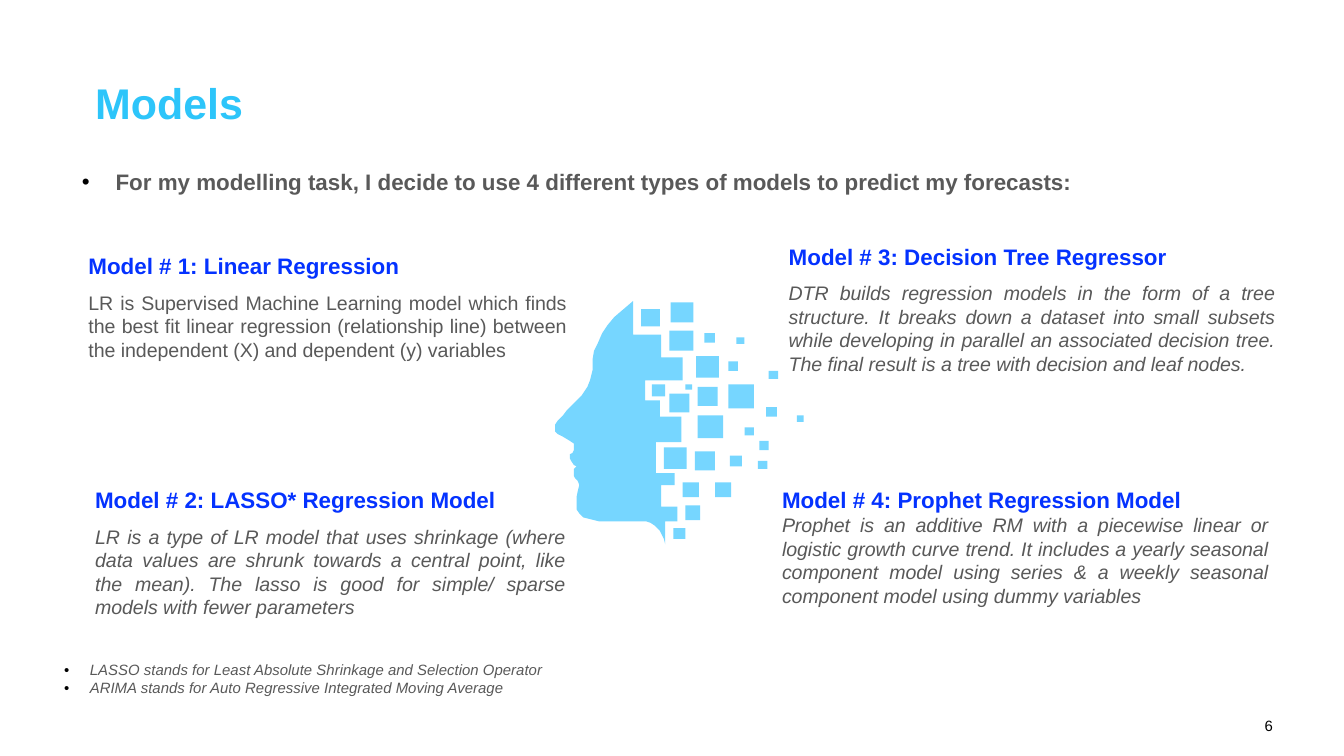
from dataclasses import dataclass

from lxml.etree import SubElement
from pptx import Presentation
from pptx.dml.color import RGBColor
from pptx.enum.shapes import MSO_SHAPE
from pptx.enum.text import MSO_ANCHOR, MSO_AUTO_SIZE, PP_ALIGN
from pptx.oxml.ns import qn
from pptx.util import Inches, Pt


@dataclass(frozen=True)
class Theme:
    """Font, colours and type sizes of the slide."""
    font: str = "Arial"
    title: str = "2DC5FA"
    heading: str = "0432FF"
    body: str = "595959"
    black: str = "000000"
    head: str = "76D6FF"
    title_size: float = 23
    heading_size: float = 12
    body_size: float = 10.5
    small_size: float = 8


THEME = Theme()

MODELS = [
    ((0.56, 1.83, 3.76, 0.92), "Model # 1: Linear Regression",
     "LR is Supervised Machine Learning model which finds the best fit linear regression "
     "(relationship line) between the independent (X) and dependent (y) variables", False, 6),
    ((0.61, 3.57, 3.7, 1.13), "Model # 2: LASSO* Regression Model",
     "LR is a type of LR model that uses shrinkage (where data values are shrunk towards a "
     "central point, like the mean). The lasso is good for simple/ sparse models with fewer "
     "parameters", True, 6),
    ((5.77, 1.76, 3.82, 1.09), "Model # 3: Decision Tree Regressor",
     "DTR builds regression models in the form of a tree structure. It breaks down a dataset "
     "into small subsets while developing in parallel an associated decision tree. The final "
     "result is a tree with decision and leaf nodes.", True, 6),
    ((5.72, 3.57, 3.82, 1.01), "Model # 4: Prophet Regression Model",
     "Prophet is an additive RM with a piecewise linear or logistic growth curve trend. It "
     "includes a yearly seasonal component model using series & a weekly seasonal component "
     "model using dummy variables", True, 0),
]

FOOTNOTES = [
    "LASSO stands for Least Absolute Shrinkage and Selection Operator",
    "ARIMA stands for Auto Regressive Integrated Moving Average",
]

HEAD_OUTLINE = [
    (4.71, 2.24), (4.71, 2.49), (4.92, 2.49), (4.92, 2.66), (5.08, 2.66), (5.08, 2.83),
    (4.8, 2.83), (4.8, 2.98), (4.91, 2.98), (4.91, 3.1), (5.07, 3.1), (5.07, 3.29),
    (4.88, 3.29), (4.88, 3.52), (5.02, 3.52), (5.02, 3.61), (4.92, 3.61), (4.92, 3.77),
    (5.04, 3.77), (5.04, 3.88), (4.95, 3.88), (4.95, 4.05), (4.94, 4.01), (4.91, 3.95),
    (4.87, 3.91), (4.84, 3.89), (4.81, 3.88), (4.46, 3.88), (4.38, 3.86), (4.34, 3.85),
    (4.31, 3.82), (4.29, 3.79), (4.29, 3.7), (4.3, 3.65), (4.31, 3.61), (4.3, 3.58),
    (4.28, 3.56), (4.27, 3.54), (4.27, 3.49), (4.29, 3.47), (4.27, 3.46), (4.25, 3.43),
    (4.24, 3.41), (4.24, 3.38), (4.26, 3.37), (4.27, 3.35), (4.27, 3.3), (4.24, 3.28),
    (4.19, 3.25), (4.15, 3.23), (4.13, 3.21), (4.13, 3.16), (4.15, 3.13), (4.19, 3.09),
    (4.22, 3.05), (4.27, 3), (4.33, 2.94), (4.37, 2.88), (4.39, 2.83), (4.41, 2.75),
    (4.41, 2.67), (4.42, 2.61), (4.45, 2.55), (4.48, 2.48), (4.52, 2.42), (4.57, 2.36),
    (4.64, 2.3),
]

HEAD_TILES = [
    (5.42, 2.86, 0.19, 0.18), (5.18, 2.65, 0.17, 0.16), (4.98, 2.46, 0.18, 0.15),
    (5.42, 2.69, 0.07, 0.07), (5.24, 2.48, 0.08, 0.07), (5.48, 2.51, 0.06, 0.05),
    (5.54, 3.18, 0.07, 0.06), (5.17, 3.36, 0.15, 0.14), (5.19, 2.88, 0.15, 0.14),
    (5.08, 3.59, 0.12, 0.11), (4.98, 2.93, 0.15, 0.14), (5.01, 3.93, 0.09, 0.08),
    (4.85, 2.86, 0.1, 0.09), (5.43, 3.39, 0.09, 0.08), (4.77, 2.3, 0.14, 0.13),
    (5.65, 3.28, 0.07, 0.07), (5.7, 3.03, 0.08, 0.07), (5.64, 3.43, 0.07, 0.06),
    (5.72, 2.76, 0.07, 0.06), (5.32, 3.59, 0.12, 0.11), (4.99, 2.25, 0.17, 0.15),
    (4.94, 3.33, 0.17, 0.16), (5.19, 3.09, 0.19, 0.17), (5.1, 3.76, 0.11, 0.11),
    (5.93, 3.09, 0.05, 0.05), (5.1, 2.86, 0.05, 0.04),
]


def add_text_box(slide, box, inset=None):
    """Add a wrapping text box and return its text frame."""
    frame = slide.shapes.add_textbox(*map(Inches, box)).text_frame
    frame.word_wrap = True
    if inset is None:
        frame.auto_size = MSO_AUTO_SIZE.SHAPE_TO_FIT_TEXT
    else:
        frame.margin_left = frame.margin_right = Inches(inset)
        frame.margin_top = frame.margin_bottom = Inches(inset)
    return frame


def add_bullet(paragraph, indent):
    """Give a paragraph a black bullet with a hanging indent."""
    properties = paragraph._p.get_or_add_pPr()
    properties.set("marL", str(Inches(indent)))
    properties.set("indent", str(-Inches(indent)))
    colour = SubElement(properties, qn("a:buClr"))
    SubElement(colour, qn("a:srgbClr"), val=THEME.black)
    SubElement(properties, qn("a:buFont"), typeface=THEME.font)
    SubElement(properties, qn("a:buChar"), char="•")


def write(frame, text, size, colour, bold=False, italic=False, align=PP_ALIGN.LEFT,
          before=0, bullet=None):
    """Write a styled paragraph, filling the first empty one."""
    paragraph = frame.paragraphs[0] if not frame.text else frame.add_paragraph()
    paragraph.text = text
    if bullet:
        add_bullet(paragraph, bullet)
    paragraph.alignment = align
    if before:
        paragraph.space_before = Pt(before)
    font = paragraph.font
    font.name, font.size, font.bold, font.italic = THEME.font, Pt(size), bold, italic
    font.color.rgb = RGBColor.from_string(colour)


def paint(shape):
    """Fill a piece of the head flat, without line or shadow."""
    shape.fill.solid()
    shape.fill.fore_color.rgb = RGBColor.from_string(THEME.head)
    shape.line.fill.background()
    shape.shadow.inherit = False


def add_head(slide):
    """Add the grouped profile that dissolves into tiles."""
    group = slide.shapes.add_group_shape()
    points = [(Inches(x), Inches(y)) for x, y in HEAD_OUTLINE]
    builder = group.shapes.build_freeform(*points[0])
    builder.add_line_segments(points[1:], close=True)
    paint(builder.convert_to_shape())
    for tile in HEAD_TILES:
        paint(group.shapes.add_shape(MSO_SHAPE.RECTANGLE, *map(Inches, tile)))


def add_model(slide, box, heading, description, italic, gap):
    """Add a model heading with its justified description."""
    frame = add_text_box(slide, box)
    write(frame, heading, THEME.heading_size, THEME.heading, bold=True)
    write(frame, description, THEME.body_size, THEME.body, italic=italic,
          align=PP_ALIGN.JUSTIFY, before=gap)


def main():
    """Build the slide and save it."""
    presentation = Presentation()
    presentation.slide_width = Inches(10)
    presentation.slide_height = presentation.slide_width * 9 // 16
    slide = presentation.slides.add_slide(presentation.slide_layouts[6])

    introduction = add_text_box(slide, (0.61, 1.25, 8.05, 0.28), inset=0)
    write(introduction, "For my modelling task, I decide to use 4 different types of models "
          "to predict my forecasts:", THEME.heading_size, THEME.body, bold=True, bullet=0.25)

    title = add_text_box(slide, (0.61, 0.47, 5.34, 0.54), inset=0.1)
    write(title, "Models", THEME.title_size, THEME.title, bold=True)

    footnotes = add_text_box(slide, (0.38, 4.87, 4.03, 0.37))
    for footnote in FOOTNOTES:
        write(footnotes, footnote, THEME.small_size, THEME.body, italic=True, bullet=0.19)

    add_head(slide)
    for model in MODELS:
        add_model(slide, *model)

    number = add_text_box(slide, (9.12, 5.25, 0.45, 0.3), inset=0.1)
    number.vertical_anchor = MSO_ANCHOR.MIDDLE
    write(number, "6", THEME.small_size, THEME.black, align=PP_ALIGN.RIGHT)

    presentation.save("out.pptx")


if __name__ == "__main__":
    main()
